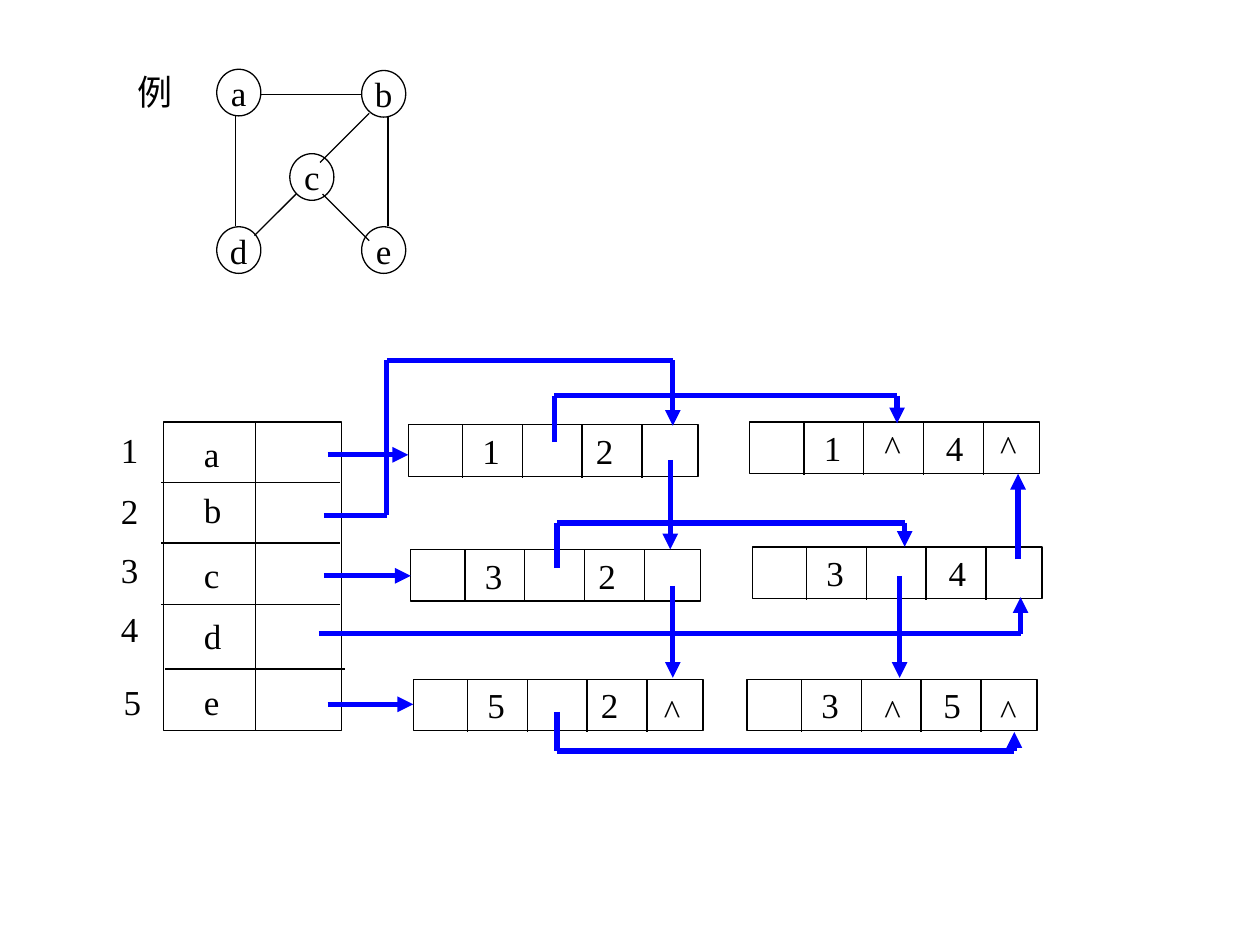
from itertools import pairwise

from pptx import Presentation
from pptx.dml.color import RGBColor
from pptx.enum import shapes, text
from pptx.oxml.ns import qn
from pptx.util import Inches, Pt
from lxml import etree

BLACK = RGBColor(0x00, 0x00, 0x00)
BLUE = RGBColor(0x00, 0x00, 0xFF)
FONT = "Times New Roman"

# Graph vertices: left and top of each circle
VERTICES = {"a": (1.72, 0.55), "b": (2.87, 0.56), "c": (2.3, 1.22),
            "d": (1.72, 1.8), "e": (2.87, 1.8)}
EDGES = [((2.06, 0.75), (2.87, 0.75)), ((1.87, 0.92), (1.87, 1.79)),
         ((3.08, 0.92), (3.08, 1.79)), ((2.56, 1.54), (2.93, 1.91)),
         ((2.93, 0.9), (2.54, 1.29)), ((2.35, 1.54), (2.02, 1.87))]

# Vertex table: number, number position, letter, letter top
HEADS = [("1", 0.86, 3.35, "a", 3.38), ("2", 0.86, 3.83, "b", 3.82),
         ("3", 0.86, 4.3, "c", 4.34), ("4", 0.86, 4.77, "d", 4.82),
         ("5", 0.88, 5.35, "e", 5.35)]

# Edge nodes: left, top, the two vertex numbers, tab stop of the second
LEFT_TAB, RIGHT_TAB = 1.39, 1.46
EDGE_NODES = [(3.24, 3.37, "1", "2", LEFT_TAB), (5.95, 3.35, "1", "4", RIGHT_TAB),
              (3.26, 4.36, "3", "2", LEFT_TAB), (5.97, 4.34, "3", "4", RIGHT_TAB),
              (3.28, 5.39, "5", "2", LEFT_TAB), (5.93, 5.39, "3", "5", RIGHT_TAB)]
NULL_MARKS = [(6.92, 3.33), (7.84, 3.33), (5.17, 5.42), (6.92, 5.42), (7.84, 5.42)]

# Pointers: corner points, the last one carries the arrowhead
POINTERS = [
    [(2.6, 3.61), (3.24, 3.61)],
    [(2.57, 4.57), (3.26, 4.57)],
    [(2.6, 5.59), (3.28, 5.59)],
    [(4.4, 3.51), (4.4, 3.14), (7.12, 3.14), (7.12, 3.36)],
    [(2.57, 4.09), (3.07, 4.09), (3.07, 2.86), (5.34, 2.86), (5.34, 3.38)],
    [(5.32, 3.65), (5.32, 4.36)],
    [(5.34, 4.65), (5.34, 5.38)],
    [(4.42, 4.51), (4.42, 4.15), (7.18, 4.15), (7.18, 4.34)],
    [(7.14, 4.57), (7.14, 5.38)],
    [(2.53, 5.03), (8.1, 5.03), (8.1, 4.74)],
    [(8.08, 4.44), (8.08, 3.76)],
    [(4.42, 5.65), (4.42, 5.96), (8.05, 5.96), (8.05, 5.81)],
]


def write(shape, content, align=text.PP_ALIGN.CENTER, wrap=False, tabs=(),
          anchor=text.MSO_ANCHOR.MIDDLE):
    """Put one formatted paragraph into a shape."""
    frame = shape.text_frame
    frame.word_wrap = wrap
    frame.vertical_anchor = anchor
    para = frame.paragraphs[0]
    para.alignment = align
    if tabs:
        stops = etree.SubElement(para._p.get_or_add_pPr(), qn("a:tabLst"))
        for stop in tabs:
            etree.SubElement(stops, qn("a:tab"), pos=str(Inches(stop)), algn="l")
    span = para.add_run()
    span.text = content
    span.font.name = FONT
    span.font.size = Pt(20)
    span.font.color.rgb = BLACK


def add_label(slide, content, left, top, width=0.34, **style):
    box = slide.shapes.add_textbox(Inches(left), Inches(top), Inches(width), Inches(0.44))
    write(box, content, **style)
    box.text_frame.auto_size = text.MSO_AUTO_SIZE.SHAPE_TO_FIT_TEXT


def add_outline(slide, kind, left, top, width, height):
    shape = slide.shapes.add_shape(kind, Inches(left), Inches(top),
                                   Inches(width), Inches(height))
    shape.shadow.inherit = False
    shape.fill.background()
    shape.line.color.rgb = BLACK
    shape.line.width = Pt(0.75)
    return shape


def add_line(slide, start, end, color=BLACK, width=0.75, arrow=False):
    line = slide.shapes.add_connector(shapes.MSO_CONNECTOR.STRAIGHT,
                                      *map(Inches, (*start, *end)))
    line.line.color.rgb = color
    line.line.width = Pt(width)
    if arrow:
        etree.SubElement(line.line._get_or_add_ln(), qn("a:tailEnd"), type="triangle")
    etree.SubElement(line._element.spPr, qn("a:effectLst"))


def add_pointer(slide, points):
    segments = list(pairwise(points))
    for number, (start, end) in enumerate(segments, 1):
        add_line(slide, start, end, BLUE, 3, arrow=number == len(segments))


def add_edge_node(slide, left, top, first, second, second_tab):
    box = add_outline(slide, shapes.MSO_SHAPE.RECTANGLE, left, top, 2.3, 0.41)
    write(box, f"\t{first}\t{second}", align=text.PP_ALIGN.LEFT, wrap=True,
          tabs=(0.49, second_tab))
    for column in range(4):
        x = left + 0.43 + 0.475 * column
        add_line(slide, (x, top), (x, top + 0.42))


def add_graph(slide):
    add_label(slide, "例", 0.99, 0.51, width=0.48)
    for name, (left, top) in VERTICES.items():
        circle = add_outline(slide, shapes.MSO_SHAPE.OVAL, left, top, 0.35, 0.37)
        write(circle, name)
    for start, end in EDGES:
        add_line(slide, start, end)


def add_vertex_table(slide):
    add_outline(slide, shapes.MSO_SHAPE.RECTANGLE, 1.3, 3.35, 1.41, 2.45)
    for y in (3.83, 4.31, 4.8):
        add_line(slide, (1.28, y), (2.7, y))
    add_line(slide, (1.31, 5.31), (2.74, 5.31))
    add_line(slide, (2.03, 3.35), (2.03, 5.8))
    for number, left, top, letter, letter_top in HEADS:
        add_label(slide, number, left, top)
        add_label(slide, letter, 1.52, letter_top, width=0.32)


def main():
    deck = Presentation()
    deck.slide_width, deck.slide_height = Inches(10), Inches(7.5)
    slide = deck.slides.add_slide(deck.slide_layouts[6])

    # Example graph
    add_graph(slide)

    # Adjacency multilist
    add_vertex_table(slide)
    for node in EDGE_NODES:
        add_edge_node(slide, *node)
    for points in POINTERS:
        add_pointer(slide, points)
    for left, top in NULL_MARKS:
        add_label(slide, "^", left, top, width=0.33, align=text.PP_ALIGN.LEFT,
                  anchor=text.MSO_ANCHOR.TOP)

    deck.save("out.pptx")


if __name__ == "__main__":
    main()
